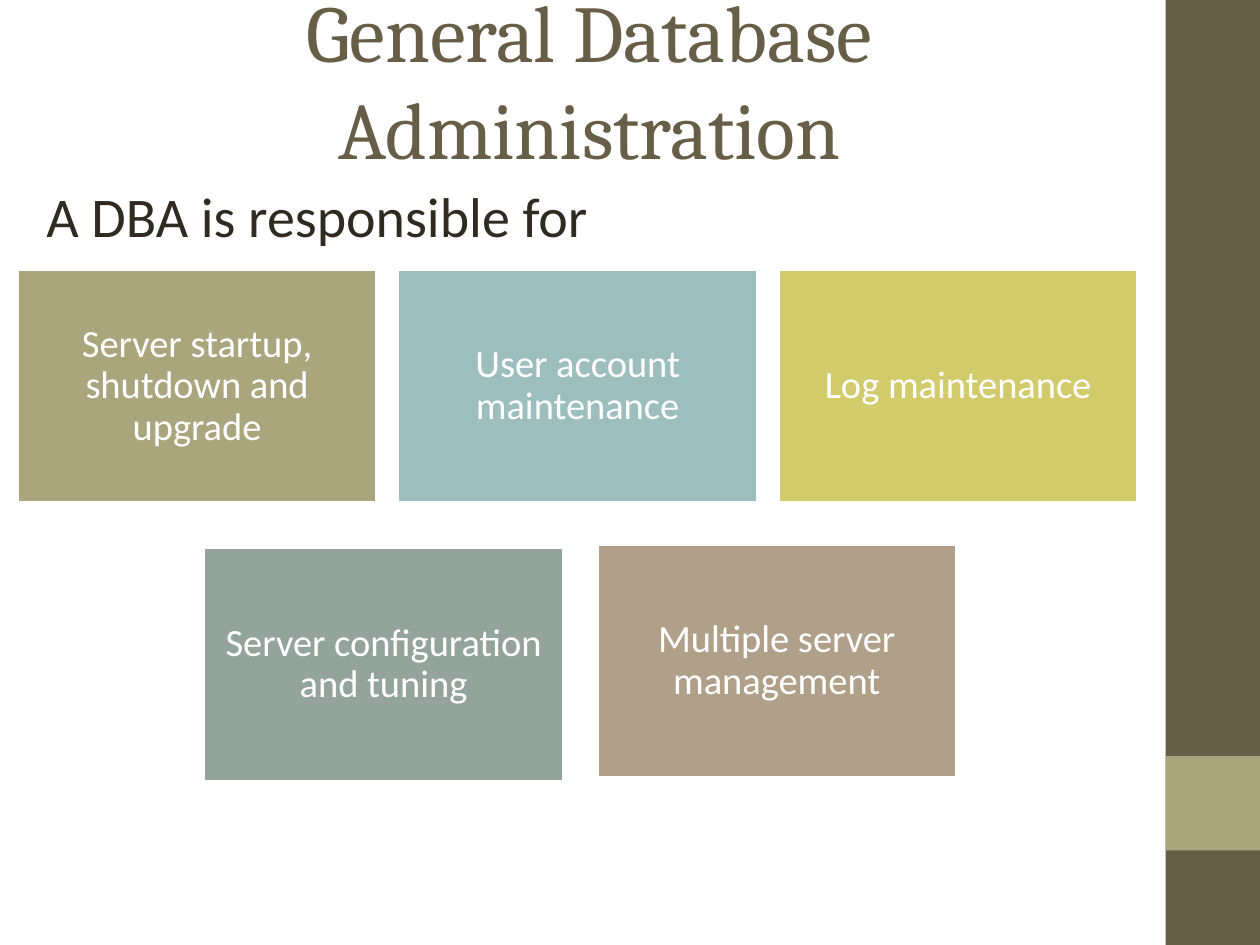
from dataclasses import dataclass

from pptx import Presentation
from pptx import util as u
from pptx.dml.color import RGBColor
from pptx.enum import shapes, text

BROWN = "675E47"
OLIVE = "A9A57C"
WHITE = "FFFFFF"
INK = "2F2B20"
BLOCK_WIDTH, BLOCK_HEIGHT = 2.87, 1.87
TOP_LEFT, TOP_ROW, TOP_STEP = 0.13, 2.13, 3.02


@dataclass
class Block:
    label: str
    left: float
    top: float
    fill: str


@dataclass
class Style:
    font: str
    size: float
    color: str
    align: text.PP_ALIGN
    anchor: text.MSO_ANCHOR
    margin_x: float = 0.1
    margin_y: float = 0.05


HEADING = Style("Cambria", 46, BROWN, text.PP_ALIGN.CENTER, text.MSO_ANCHOR.MIDDLE, 0.2)
LEAD = Style("Calibri", 32, INK, text.PP_ALIGN.LEFT, text.MSO_ANCHOR.TOP)
LABEL = Style("Calibri", 22, WHITE, text.PP_ALIGN.CENTER, text.MSO_ANCHOR.MIDDLE, 0.09, 0.09)


def color(value: str) -> RGBColor:
    return RGBColor.from_string(value)


def write(box, words: str, style: Style):
    """Fill a box with one styled paragraph and return the paragraph."""
    frame = box.text_frame
    frame.word_wrap = True
    frame.vertical_anchor = style.anchor
    frame.margin_left = frame.margin_right = u.Inches(style.margin_x)
    frame.margin_top = frame.margin_bottom = u.Inches(style.margin_y)
    para = frame.paragraphs[0]
    para.alignment = style.align
    span = para.add_run()
    span.text = words
    span.font.name = style.font
    span.font.size = u.Pt(style.size)
    span.font.color.rgb = color(style.color)
    return para


def add_text(page, words: str, style: Style, left: float, top: float,
             width: float, height: float) -> None:
    box = page.shapes.add_textbox(u.Inches(left), u.Inches(top),
                                  u.Inches(width), u.Inches(height))
    write(box, words, style)


def add_rectangle(page, left: float, top: float, width: float, height: float, fill: str):
    box = page.shapes.add_shape(shapes.MSO_SHAPE.RECTANGLE, u.Inches(left), u.Inches(top),
                                u.Inches(width), u.Inches(height))
    box.shadow.inherit = False
    box.fill.solid()
    box.fill.fore_color.rgb = color(fill)
    box.line.fill.background()
    return box


def add_block(page, block: Block) -> None:
    box = add_rectangle(page, block.left, block.top, BLOCK_WIDTH, BLOCK_HEIGHT, block.fill)
    box.line.color.rgb = color(WHITE)
    box.line.width = u.Pt(3)
    para = write(box, block.label, LABEL)
    para.line_spacing = 0.9
    para.space_after = u.Pt(9.6)


def main() -> None:
    deck = Presentation()
    deck.slide_width, deck.slide_height = u.Inches(10), u.Inches(7.5)
    page = deck.slides.add_slide(deck.slide_layouts[6])

    # Side band with its accent square
    add_rectangle(page, 9.25, 0, 0.75, 7.5, BROWN)
    add_rectangle(page, 9.25, 6, 0.75, 0.75, OLIVE)

    # Title and lead-in
    add_text(page, "General Database Administration", HEADING, 0.27, 0, 8.81, 1.25)
    add_text(page, "A DBA is responsible for", LEAD, 0.27, 1.39, 9.47, 1.18)

    # Responsibilities: an even row of three, then two placed below
    top_row = [
        ("Server startup, shutdown and upgrade", OLIVE),
        ("User account maintenance", "9CBEBD"),
        ("Log maintenance", "D2CB6C"),
    ]
    blocks = [Block(label, TOP_LEFT + column * TOP_STEP, TOP_ROW, fill)
              for column, (label, fill) in enumerate(top_row)]
    blocks += [
        Block("Server configuration and tuning", 1.61, 4.34, "95A39D"),
        Block("Multiple server management", 4.73, 4.31, "B1A089"),
    ]
    for block in blocks:
        add_block(page, block)

    deck.save("out.pptx")


if __name__ == "__main__":
    main()
